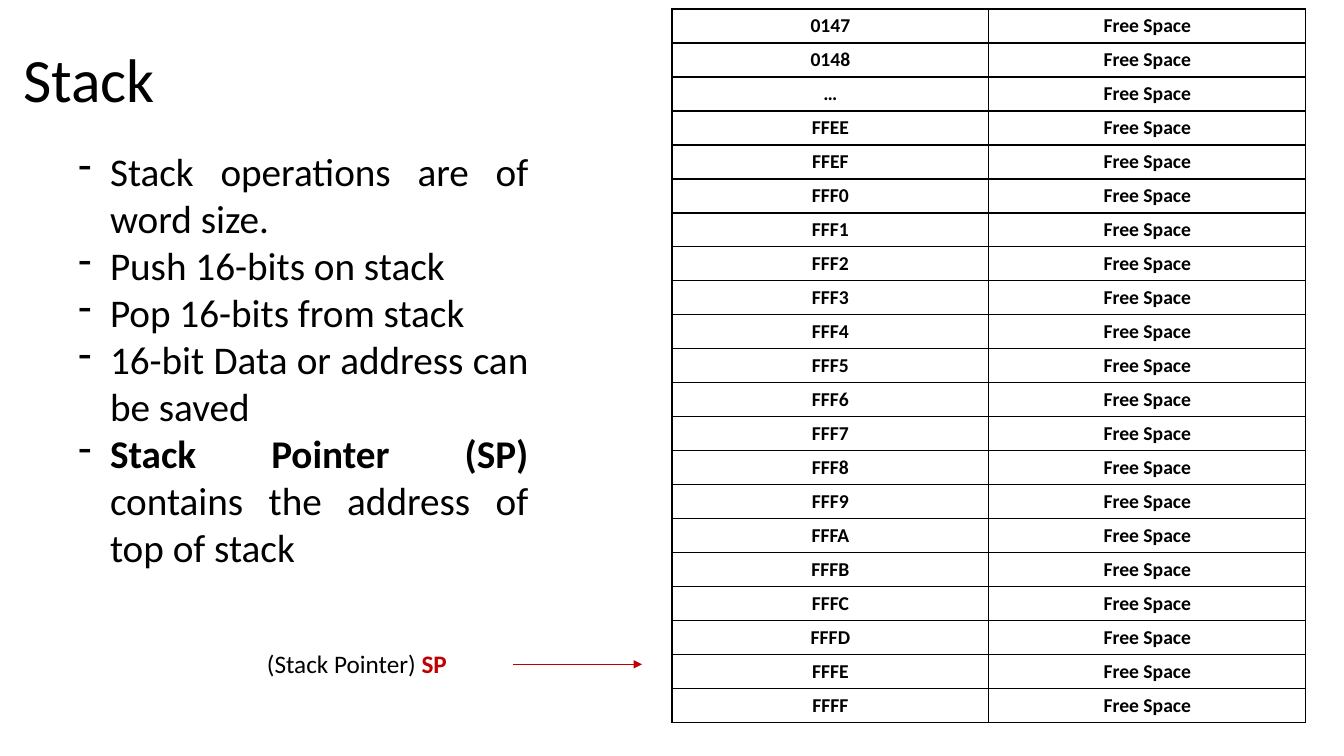
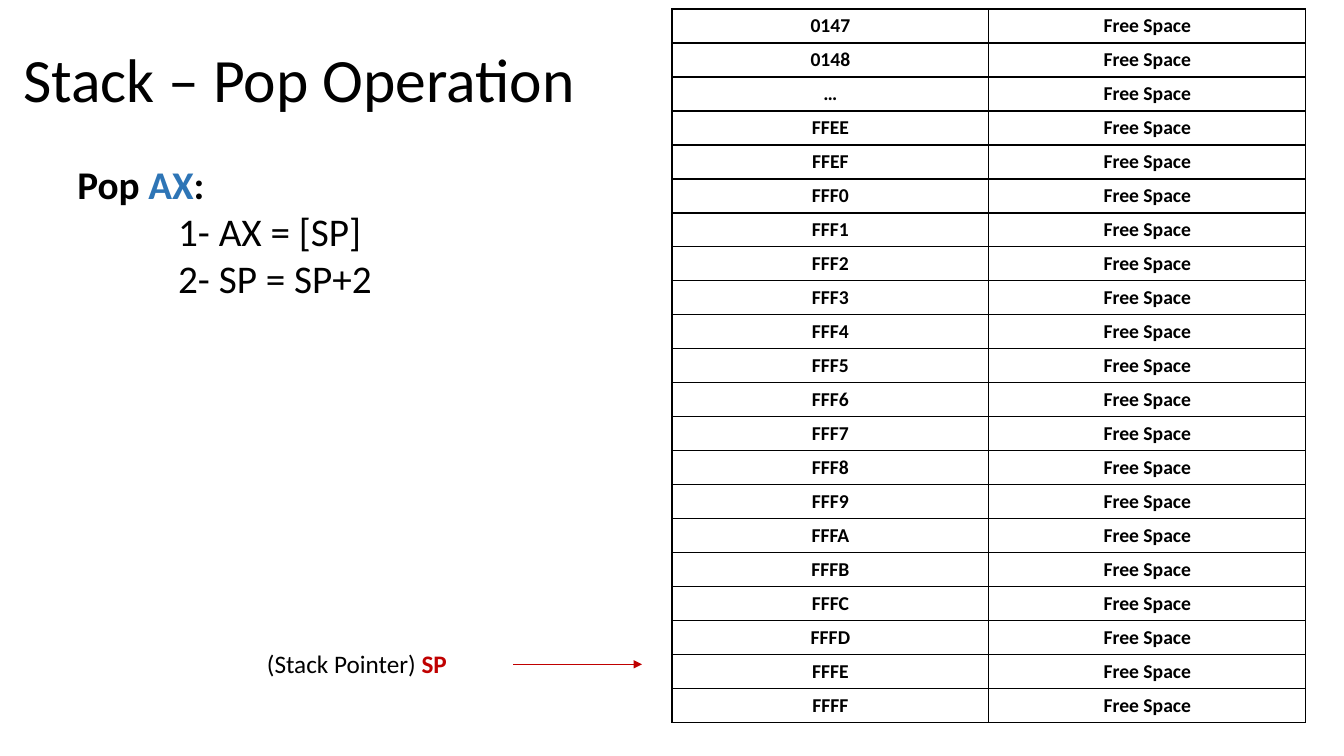
import pptx
import pptx.dml.color
import pptx.enum.dml
import pptx.enum.shapes
import pptx.enum.text
import pptx.oxml
import pptx.oxml.ns
import pptx.util
from lxml import etree

Pt = pptx.util.Pt
Align = pptx.enum.text.PP_ALIGN
BLACK, RED, BLUE = "000000", "C00000", "2E75B6"
ADDRESSES = ["0147", "0148", "…", "FFEE", "FFEF"] + [f"FFF{digit:X}" for digit in range(16)]


def rgb(color):
    return pptx.dml.color.RGBColor.from_string(color)


def add_xml(parent, tag, **attributes):
    return etree.SubElement(parent, pptx.oxml.ns.qn(tag), attributes)


class StackDeck:
    """Hold the shared style and the current slide of the stack lesson."""

    font = "Calibri"
    title_size, body_size, label_size, cell_size = 44, 28, 18, 14

    def __init__(self):
        self.deck = pptx.Presentation()
        self.deck.slide_width, self.deck.slide_height = Pt(960), Pt(540)
        self.slide = None

    def style(self, font, size, bold=False, color=BLACK):
        font.name, font.size, font.bold = self.font, Pt(size), bold
        font.color.rgb = rgb(color)

    def add_slide(self, heading):
        self.slide = self.deck.slides.add_slide(self.deck.slide_layouts[5])
        title = self.slide.shapes.title
        title.left, title.top, title.width, title.height = Pt(9.4), Pt(6.5), Pt(828), Pt(104.4)
        frame = title.text_frame
        frame.text = heading
        frame.word_wrap = True
        frame.auto_size = pptx.enum.text.MSO_AUTO_SIZE.NONE
        frame.vertical_anchor = pptx.enum.text.MSO_ANCHOR.MIDDLE
        paragraph = frame.paragraphs[0]
        paragraph.alignment, paragraph.line_spacing = Align.LEFT, 0.9
        self.style(paragraph.runs[0].font, self.title_size)

    def add_text(self, box, paragraphs, size, align=Align.LEFT, wrap=False, bullet=None, indents=()):
        frame = self.slide.shapes.add_textbox(*map(Pt, box)).text_frame
        frame.word_wrap = wrap
        frame.auto_size = pptx.enum.text.MSO_AUTO_SIZE.SHAPE_TO_FIT_TEXT
        for index, pieces in enumerate(paragraphs):
            paragraph = frame.add_paragraph() if index else frame.paragraphs[0]
            paragraph.alignment = align
            properties = paragraph._p.get_or_add_pPr()
            if bullet:
                properties.set("marL", str(Pt(22.5)))
                properties.set("indent", str(Pt(-22.5)))
                add_xml(properties, "a:buFontTx")
                add_xml(properties, "a:buChar", char=bullet)
            elif indents:
                properties.set("marL", str(Pt(indents[index])))
            for text, *look in pieces:
                run = paragraph.add_run()
                run.text = text
                self.style(run.font, size, *look)

    def add_arrow(self, left, right, y, color):
        arrow = self.slide.shapes.add_connector(
            pptx.enum.shapes.MSO_CONNECTOR.STRAIGHT, Pt(left), Pt(y), Pt(right), Pt(y))
        arrow.line.color.rgb, arrow.line.width = rgb(color), Pt(0.5)
        add_xml(arrow.line._get_or_add_ln(), "a:tailEnd", type="triangle")
        add_xml(arrow._element.spPr, "a:effectLst")

    def add_border(self, cell):
        properties = cell._tc.get_or_add_tcPr()
        for side in ("a:lnL", "a:lnR", "a:lnT", "a:lnB"):
            line = add_xml(properties, side, w=str(Pt(1)))
            add_xml(add_xml(line, "a:solidFill"), "a:srgbClr", val=BLACK)

    def add_memory(self, rows):
        row_height, column_width = 24, 226.4
        table = self.slide.shapes.add_table(
            len(rows), 2, Pt(480), Pt(6.5), Pt(2 * column_width), Pt(len(rows) * row_height)).table
        table.first_row = table.horz_banding = False
        for row, texts in zip(table.rows, rows):
            row.height = Pt(row_height)
            for cell, text in zip(row.cells, texts):
                self.add_border(cell)
                cell.fill.background()
                cell.text_frame.text = text
                paragraph = cell.text_frame.paragraphs[0]
                paragraph.alignment = Align.CENTER
                self.style(paragraph.runs[0].font, self.cell_size, True)

    def add_stack_slide(self, heading):
        self.add_slide(heading)
        self.add_memory([(address, "Free Space") for address in ADDRESSES])
        self.add_text((183.6, 459.4, 144, 29), [[("(Stack Pointer) ",), ("SP", True, RED)]], self.label_size)
        self.add_arrow(366.5, 458.6, 474.5, RED)


def main():
    lesson = StackDeck()
    lesson.add_stack_slide("Stack")
    lesson.add_text((49, 101.5, 335.5, 334), [
        [("Stack operations are of word size.",)],
        [("Push 16-bits on stack",)],
        [("Pop 16-bits from stack",)],
        [("16-bit Data or address can be saved",)],
        [("Stack Pointer (SP) ", True), ("contains the address of top of stack",)],
    ], lesson.body_size, Align.JUSTIFY, wrap=True, bullet="-")

    lesson.add_stack_slide("Stack – Pop Operation")
    lesson.add_text((48.2, 110.9, 227.5, 108.7), [
        [("Pop ", True), ("AX", True, BLUE), (":", True)],
        [("1- AX = [SP]",)],
        [("2- SP = SP+2",)],
    ], lesson.body_size, Align.JUSTIFY, indents=(0, 72, 72))
    lesson.deck.save("out.pptx")


if __name__ == "__main__":
    main()
